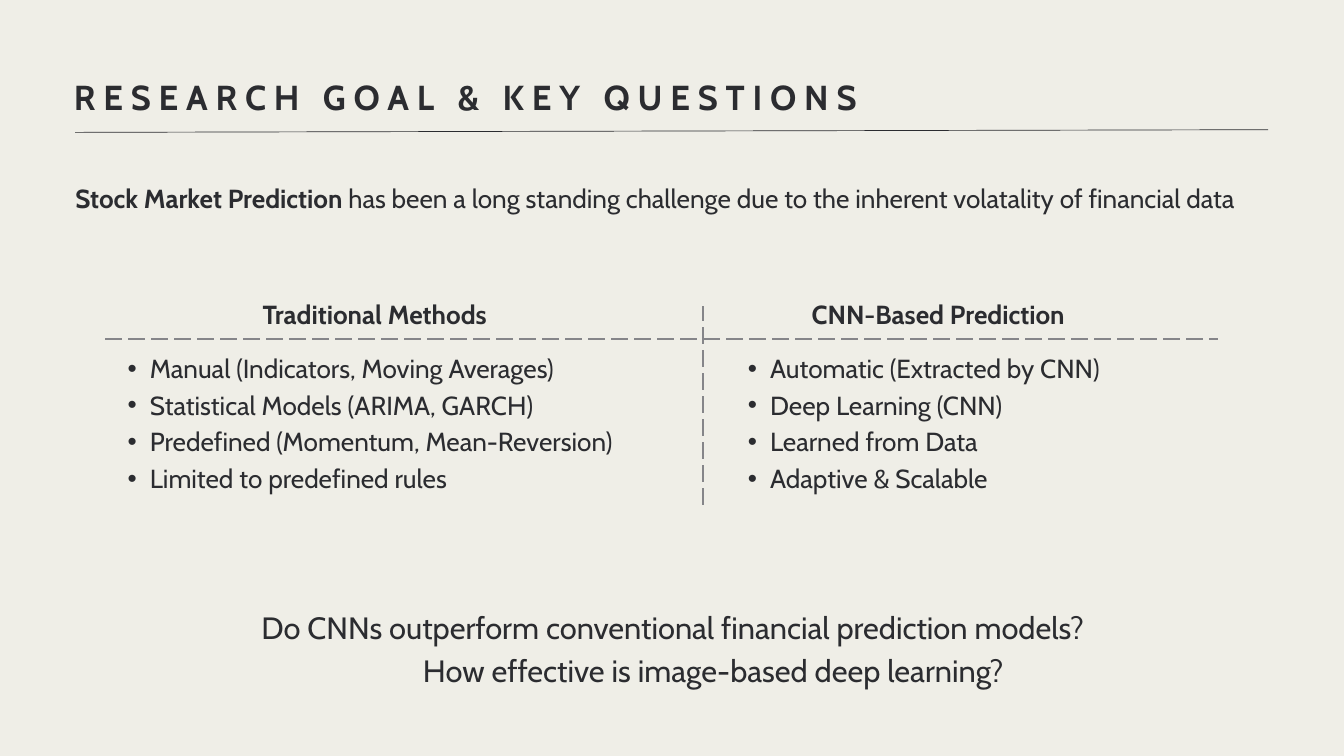
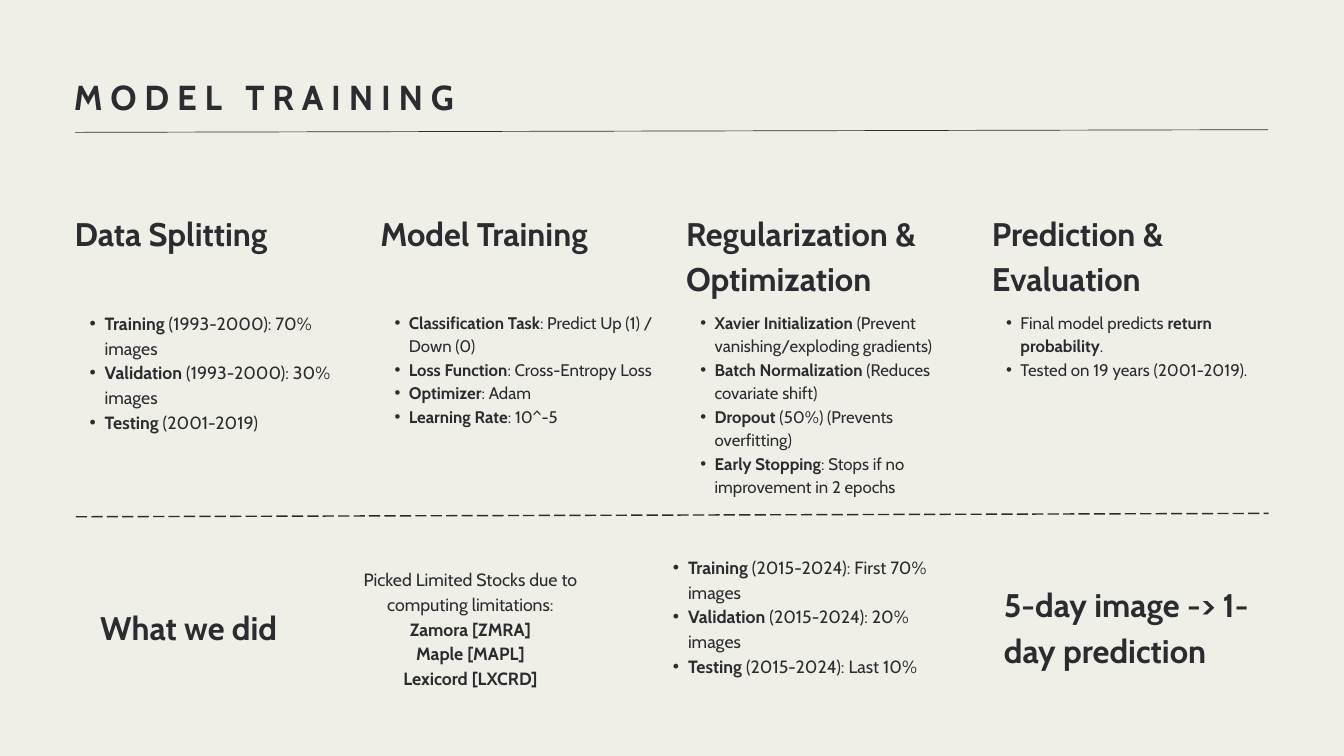
"""Two slides on stock prediction with convolutional networks."""
from dataclasses import dataclass

from lxml import etree
from pptx import Presentation
from pptx import util as u
from pptx.dml.color import RGBColor
from pptx.enum import dml, shapes, text
from pptx.oxml.ns import qn
from pptx.slide import Slide


@dataclass(frozen=True)
class Theme:
    """Colours, type sizes and spacing shared by the slides."""
    paper: str = "EFEEE7"
    ink: str = "2B2C30"
    grey: str = "858589"
    font: str = "Cabin"
    title: float = 37.1
    heading: float = 35
    question: float = 33
    body: float = 28
    note: float = 19
    small: float = 18
    tracking: float = 8.4
    leading: float = 1.4
    indent: float = 1.7


@dataclass(frozen=True)
class Area:
    """A rectangle in columns and rows of the grid."""
    column: float
    row: float
    columns: float
    rows: float


@dataclass(frozen=True)
class Rule:
    """A straight line between two grid points."""
    start: tuple[float, float]
    end: tuple[float, float]
    colour: str
    weight: float
    dashed: bool = True


@dataclass(frozen=True)
class Method:
    """One side of the comparison: heading and bullet list."""
    heading: str
    heading_area: Area
    points: list[str]
    points_area: Area


@dataclass(frozen=True)
class Stage:
    """One stage of the training process."""
    heading: str
    points: list[str]
    size: float


THEME = Theme()
WIDTH, HEIGHT = u.Inches(20), u.Inches(11.25)
COLUMNS, ROWS = 80, 45
CENTRE = text.PP_ALIGN.CENTER
TITLE_AREA = Area(4.4, 4.12, 71, 2.84)
TITLE_RULE = Rule((4.48, 7.88), (75.48, 7.72), THEME.ink, 0.75, dashed=False)

INTRO = ("**Stock Market Prediction** has been a long standing challenge due to "
         "the inherent volatality of financial data")
METHODS = [
    Method("Traditional Methods", Area(14.8, 17.48, 15, 2.16), [
        "Manual (Indicators, Moving Averages)",
        "Statistical Models (ARIMA, GARCH)",
        "Predefined (Momentum, Mean-Reversion)",
        "Limited to predefined rules",
    ], Area(6.28, 20.68, 34.8, 8.64)),
    Method("CNN-Based Prediction", Area(47, 17.48, 17.68, 2.16), [
        "Automatic (Extracted by CNN)",
        "Deep Learning (CNN)",
        "Learned from Data",
        "Adaptive & Scalable",
    ], Area(43.2, 20.68, 24.64, 8.64)),
]
METHOD_RULES = [
    Rule((41.84, 30.04), (41.84, 18.2), THEME.grey, 2.25),
    Rule((6.28, 20.2), (72.52, 20.2), THEME.grey, 2.25),
]
QUESTIONS = ["Do CNNs outperform conventional financial prediction models?",
             "How effective is image-based deep learning?"]

STAGES = [
    Stage("Data Splitting", [
        "**Training** (1993-2000): 70% images",
        "**Validation** (1993-2000): 30% images",
        "**Testing** (2001-2019)",
    ], THEME.note),
    Stage("Model Training", [
        "**Classification Task**: Predict Up (1) / Down (0)",
        "**Loss Function**: Cross-Entropy Loss",
        "**Optimizer**: Adam",
        "**Learning Rate**: 10^-5",
    ], THEME.small),
    Stage("Regularization & Optimization", [
        "**Xavier Initialization** (Prevent vanishing/exploding gradients)",
        "**Batch Normalization** (Reduces covariate shift)",
        "**Dropout** (50%) (Prevents overfitting)",
        "**Early Stopping**: Stops if no improvement in 2 epochs",
    ], THEME.small),
    Stage("Prediction & Evaluation", [
        "Final model predicts **return probability**.",
        "Tested on 19 years (2001-2019).",
    ], THEME.small),
]
STAGE_LEFT, STAGE_PITCH, STAGE_WIDTH = 4.44, 18.2, 16.52
STAGE_RULE = Rule((4.52, 30.76), (75.52, 30.56), THEME.ink, 1.5)
STOCKS = ["Picked Limited Stocks due to computing limitations:",
          "**Zamora [ZMRA]**", "**Maple [MAPL]**", "**Lexicord [LXCRD]**"]
OUR_SPLIT = ["**Training** (2015-2024): First 70% images",
             "**Validation** (2015-2024): 20% images",
             "**Testing** (2015-2024): Last 10%"]


def across(columns: float) -> u.Emu:
    """Turn grid columns into a length."""
    return u.Emu(round(WIDTH * columns / COLUMNS))


def down(rows: float) -> u.Emu:
    """Turn grid rows into a length."""
    return u.Emu(round(HEIGHT * rows / ROWS))


def add_bullet(para, size: float) -> None:
    """Give a paragraph a hanging bullet scaled to its type size."""
    para.level = 1
    properties = para._p.get_or_add_pPr()
    margin = u.Pt(size * THEME.indent)
    properties.set("marL", str(margin))
    properties.set("indent", str(-margin // 2))
    etree.SubElement(properties, qn("a:buFont")).set("typeface", "Arial")
    etree.SubElement(properties, qn("a:buChar")).set("char", "•")


def add_text(page: Slide, area: Area, lines: list[str], *, size: float,
             bold: bool = False, bullets: bool = False, tracking: float = 0,
             aligns: tuple = (None,)) -> None:
    """Write lines, with **bold** marks; the last alignment covers later lines."""
    box = page.shapes.add_textbox(across(area.column), down(area.row),
                                  across(area.columns), down(area.rows))
    frame = box.text_frame
    frame.word_wrap = True
    frame.auto_size = text.MSO_AUTO_SIZE.SHAPE_TO_FIT_TEXT
    frame.margin_left = frame.margin_right = 0
    frame.margin_top = frame.margin_bottom = 0
    for index, line in enumerate(lines):
        para = frame.add_paragraph() if index else frame.paragraphs[0]
        if bullets:
            add_bullet(para, size)
        para.alignment = aligns[min(index, len(aligns) - 1)]
        para.line_spacing = u.Pt(round(size * THEME.leading, 1))
        for part, words in enumerate(line.split("**")):
            if not words:
                continue
            span = para.add_run()
            span.text = words
            span.font.name = THEME.font
            span.font.size = u.Pt(size)
            span.font.bold = bold or part % 2 == 1
            span.font.color.rgb = RGBColor.from_string(THEME.ink)
            if tracking:
                span._r.get_or_add_rPr().set("spc", str(round(tracking * 100)))


def add_rule(page: Slide, rule: Rule) -> None:
    """Draw a plain or dashed line."""
    line = page.shapes.add_connector(
        shapes.MSO_CONNECTOR.STRAIGHT, across(rule.start[0]), down(rule.start[1]),
        across(rule.end[0]), down(rule.end[1]))
    line.line.color.rgb = RGBColor.from_string(rule.colour)
    line.line.width = u.Pt(rule.weight)
    if rule.dashed:
        line.line.dash_style = dml.MSO_LINE.LONG_DASH
    etree.SubElement(line._element.spPr, qn("a:effectLst"))


def add_page(deck, title: str) -> Slide:
    """Add a slide with the shared background, title and rule."""
    page = deck.slides.add_slide(deck.slide_layouts[6])
    page.background.fill.solid()
    page.background.fill.fore_color.rgb = RGBColor.from_string(THEME.paper)
    add_rule(page, TITLE_RULE)
    add_text(page, TITLE_AREA, [title], size=THEME.title, bold=True,
             tracking=THEME.tracking)
    return page


def build_goal(deck) -> None:
    """Build the research goal slide."""
    page = add_page(deck, "RESEARCH GOAL & KEY QUESTIONS")
    add_text(page, Area(4.48, 10.52, 71, 4.32), [INTRO], size=THEME.body)
    for method in METHODS:
        add_text(page, method.heading_area, [method.heading], size=THEME.body,
                 bold=True, aligns=(CENTRE,))
        add_text(page, method.points_area, method.points, size=THEME.body,
                 bullets=True)
    for rule in METHOD_RULES:
        add_rule(page, rule)
    add_text(page, Area(15.56, 35.88, 53.8, 5.04), QUESTIONS,
             size=THEME.question, aligns=(None, CENTRE))


def build_training(deck) -> None:
    """Build the model training slide."""
    page = add_page(deck, "MODEL TRAINING")
    for index, stage in enumerate(STAGES):
        left = STAGE_LEFT + index * STAGE_PITCH
        add_text(page, Area(left, 12.32, STAGE_WIDTH, 5.4), [stage.heading],
                 size=THEME.heading, bold=True)
        add_text(page, Area(left, 18.4, STAGE_WIDTH, 9.6), stage.points,
                 size=stage.size, bullets=True)
    add_rule(page, STAGE_RULE)
    add_text(page, Area(5.96, 35.8, 13.48, 2.68), ["What we did"],
             size=THEME.heading, bold=True)
    add_text(page, Area(19.44, 33.64, 17.12, 7.24), STOCKS, size=THEME.note,
             aligns=(CENTRE,))
    add_text(page, Area(39.16, 32.92, STAGE_WIDTH, 10.16), OUR_SPLIT,
             size=THEME.note, bullets=True)
    add_text(page, Area(59.76, 34.44, 14.96, 5.4),
             ["5-day image -> 1-day prediction"], size=THEME.heading, bold=True)


def main() -> None:
    """Build and save the deck."""
    deck = Presentation()
    deck.slide_width, deck.slide_height = WIDTH, HEIGHT
    build_goal(deck)
    build_training(deck)
    deck.save("out.pptx")


if __name__ == "__main__":
    main()
